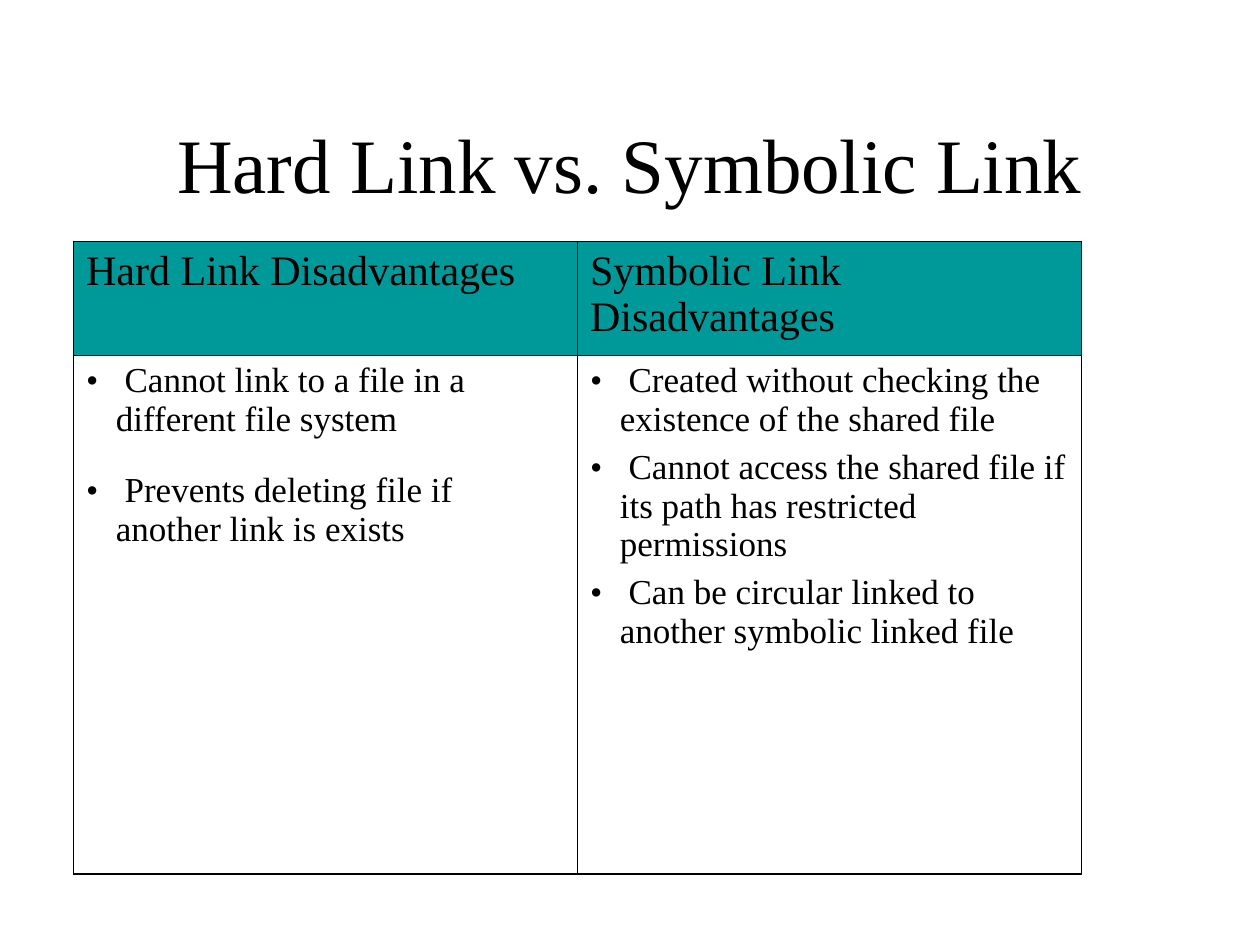
from pptx import Presentation
from pptx.dml.color import RGBColor
from pptx.enum.text import MSO_ANCHOR, PP_ALIGN
from pptx.oxml import parse_xml
from pptx.oxml.ns import nsdecls
from pptx.util import Pt

BLACK = RGBColor(0x00, 0x00, 0x00)
TEAL = RGBColor(0x00, 0x99, 0x99)
FONT = "Times New Roman"
OUTER_LINE, INNER_LINE = 1.08, 0.45
BULLET_INDENT = 17

HEADINGS = ["Hard Link Disadvantages", "Symbolic Link Disadvantages"]
# For each column: space between bullets, and the bullets
DISADVANTAGES = [
    (18.5, [
        " Cannot link to a file in a different file system",
        " Prevents deleting file if another link is exists",
    ]),
    (5, [
        " Created without checking the existence of the shared file",
        " Cannot access the shared file if its path has restricted permissions",
        " Can be circular linked to another symbolic linked file",
    ]),
]


def set_font(paragraph, size):
    paragraph.font.name = FONT
    paragraph.font.size = Pt(size)
    paragraph.font.color.rgb = BLACK


def add_bullet(paragraph):
    properties = paragraph._p.get_or_add_pPr()
    properties.set("marL", str(Pt(BULLET_INDENT)))
    properties.set("indent", str(-Pt(BULLET_INDENT)))
    for xml in (
        f'<a:buClr {nsdecls("a")}><a:srgbClr val="{BLACK}"/></a:buClr>',
        f'<a:buFont {nsdecls("a")} typeface="{FONT}"/>',
        f'<a:buChar {nsdecls("a")} char="•"/>',
    ):
        properties.append(parse_xml(xml))


def set_borders(cell, row, column):
    """Thick lines around the table, thin lines between its cells."""
    outer_sides = {"L": column == 0, "R": column == 1, "T": row == 0, "B": row == 1}
    properties = cell._tc.get_or_add_tcPr()
    for side, is_outer in outer_sides.items():
        width = Pt(OUTER_LINE if is_outer else INNER_LINE)
        properties.append(parse_xml(
            f'<a:ln{side} {nsdecls("a")} w="{width}"><a:solidFill>'
            f'<a:srgbClr val="{BLACK}"/></a:solidFill></a:ln{side}>'))


def add_title(slide, left, top, width, height):
    text_box = slide.shapes.add_textbox(Pt(left), Pt(top), Pt(width), Pt(height))
    frame = text_box.text_frame
    frame.word_wrap = True
    frame.vertical_anchor = MSO_ANCHOR.MIDDLE
    paragraph = frame.paragraphs[0]
    paragraph.text = "Hard Link vs. Symbolic Link"
    paragraph.alignment = PP_ALIGN.CENTER
    set_font(paragraph, 44)


def add_comparison(slide, left, top, width, height, heading_height):
    table = slide.shapes.add_table(
        2, 2, Pt(left), Pt(top), Pt(width), Pt(height)).table
    table.first_row = False
    table.horz_banding = False
    table.rows[0].height = Pt(heading_height)
    table.rows[1].height = Pt(height - heading_height)

    for column, (heading, (gap, bullets)) in enumerate(zip(HEADINGS, DISADVANTAGES)):
        # Heading cell
        cell = table.cell(0, column)
        set_borders(cell, 0, column)
        cell.fill.solid()
        cell.fill.fore_color.rgb = TEAL
        cell.text = heading
        set_font(cell.text_frame.paragraphs[0], 24)

        # Bullet cell
        cell = table.cell(1, column)
        set_borders(cell, 1, column)
        cell.fill.background()
        cell.text = "\n".join(bullets)
        for index, paragraph in enumerate(cell.text_frame.paragraphs):
            if index:
                paragraph.space_before = Pt(gap)
            add_bullet(paragraph)
            set_font(paragraph, 20)


def main():
    presentation = Presentation()
    presentation.slide_width, presentation.slide_height = Pt(720), Pt(540)
    slide = presentation.slides.add_slide(presentation.slide_layouts[6])
    add_title(slide, 54, 48, 612, 90)
    add_comparison(slide, 42, 138, 576, 361.5, heading_height=65)
    presentation.save("out.pptx")


if __name__ == "__main__":
    main()
